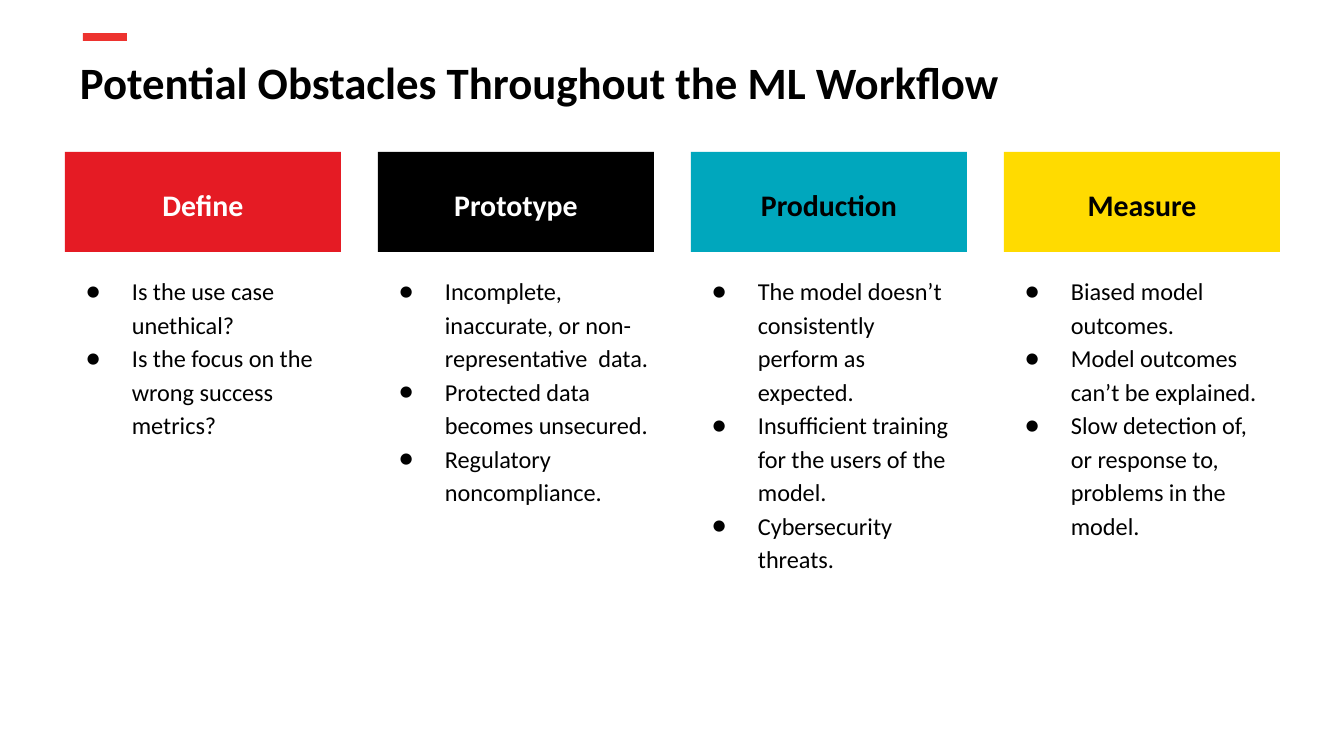
from lxml import etree
from pptx import Presentation
from pptx.dml.color import RGBColor
from pptx.enum.shapes import MSO_SHAPE
from pptx.enum.text import MSO_ANCHOR, PP_ALIGN
from pptx.oxml.ns import qn
from pptx.util import Emu, Pt

RECT = MSO_SHAPE.RECTANGLE
MIDDLE, TOP = MSO_ANCHOR.MIDDLE, MSO_ANCHOR.TOP
CENTER = PP_ALIGN.CENTER
SCALE = 914400 / 134.4
FONT = "Calibri"
COLORS = {
    "accent": "ED332F",
    "red": "E51B24",
    "black": "000000",
    "teal": "00A7BD",
    "yellow": "FFDB00",
    "white": "FFFFFF",
}
COLUMNS = [
    ("Define", "red", "white", 276, 380, [
        "Is the use case unethical?",
        "Is the focus on the wrong success metrics?",
    ]),
    ("Prototype", "black", "white", 294, 418, [
        "Incomplete, inaccurate, or non-representative  data.",
        "Protected data becomes unsecured.",
        "Regulatory noncompliance.",
    ]),
    ("Production", "teal", "black", 276, 380, [
        "The model doesn’t consistently perform as expected.",
        "Insufficient training for the users of the model.",
        "Cybersecurity threats.",
    ]),
    ("Measure", "yellow", "black", 276, 380, [
        "Biased model outcomes.",
        "Model outcomes can’t be explained.",
        "Slow detection of, or response to, problems in the model.",
    ]),
]


def px(n):
    return Emu(round(n * SCALE))


def add_run(p, text, size, color, bold=False):
    r = p.add_run()
    r.text = text
    r.font.name = FONT
    r.font.size = Pt(size)
    r.font.bold = bold
    r.font.color.rgb = RGBColor.from_string(COLORS[color])


prs = Presentation()
prs.slide_width, prs.slide_height = px(1344), px(756)
s = prs.slides.add_slide(prs.slide_layouts[6])

bar = s.shapes.add_shape(RECT, px(83), px(33), px(44), px(8))
bar.shadow.inherit = False
bar.fill.solid()
bar.fill.fore_color.rgb = RGBColor.from_string(COLORS["accent"])
bar.line.fill.background()

title = s.shapes.add_textbox(px(67), px(42), px(1253), px(85))
tf = title.text_frame
tf.word_wrap = True
tf.margin_left = tf.margin_right = tf.margin_top = tf.margin_bottom = px(13)
add_run(tf.paragraphs[0], "Potential Obstacles Throughout the ML Workflow", 24, "black", True)

for i, (stage, fill, ink, width, height, obstacles) in enumerate(COLUMNS):
    left = px(65 + 313 * i)

    header = s.shapes.add_shape(RECT, left, px(152), px(276), px(100))
    header.shadow.inherit = False
    header.fill.solid()
    header.fill.fore_color.rgb = RGBColor.from_string(COLORS[fill])
    header.line.fill.background()
    tf = header.text_frame
    tf.word_wrap = True
    tf.vertical_anchor = MIDDLE
    tf.margin_left = tf.margin_right = tf.margin_top = tf.margin_bottom = px(5)
    p = tf.paragraphs[0]
    p.alignment = CENTER
    p.line_spacing = 1.15
    add_run(p, stage, 16, ink, True)

    body = s.shapes.add_textbox(left, px(259), px(width), px(height))
    tf = body.text_frame
    tf.word_wrap = True
    tf.vertical_anchor = TOP
    tf.margin_left = 0
    tf.margin_right = tf.margin_top = tf.margin_bottom = px(13)
    for j, obstacle in enumerate(obstacles):
        p = tf.add_paragraph() if j else tf.paragraphs[0]
        p.line_spacing = 1.15
        pPr = p._p.get_or_add_pPr()
        pPr.set("marL", str(px(67)))
        pPr.set("indent", str(px(-46)))
        bu_clr = etree.SubElement(pPr, qn("a:buClr"))
        etree.SubElement(bu_clr, qn("a:srgbClr"), val=COLORS["black"])
        etree.SubElement(pPr, qn("a:buFont"), typeface=FONT)
        etree.SubElement(pPr, qn("a:buChar"), char="●")
        add_run(p, obstacle, 13, "black")

prs.save("out.pptx")
